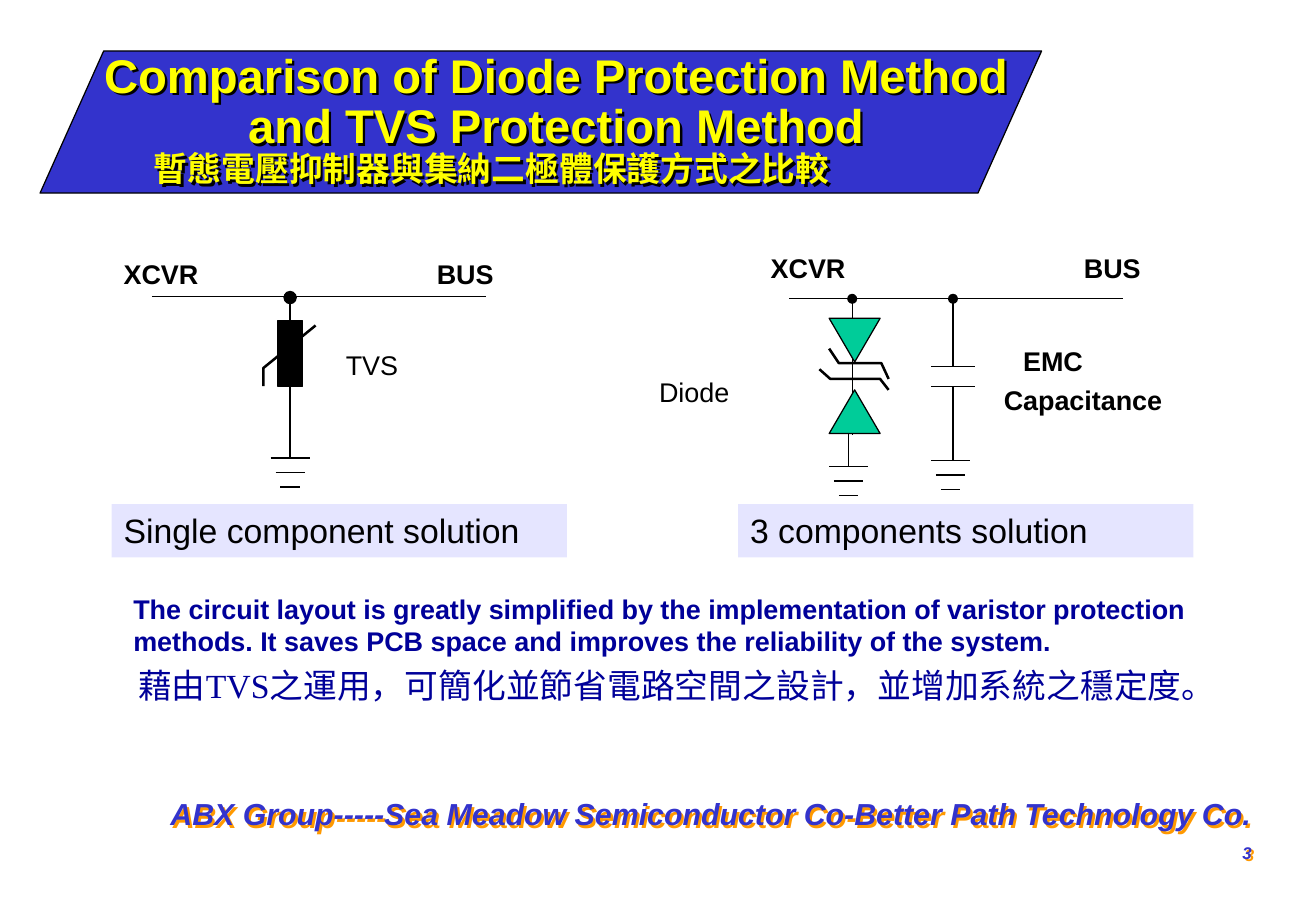
"""Build a slide comparing diode protection with TVS protection."""
from lxml.etree import SubElement
from pptx import Presentation
from pptx.dml.color import RGBColor as Rgb
from pptx.enum.shapes import MSO_CONNECTOR as Connector, MSO_SHAPE as Preset
from pptx.enum.text import MSO_ANCHOR as Anchor, MSO_AUTO_SIZE as AutoSize, PP_ALIGN as Align
from pptx.oxml.ns import qn
from pptx.util import Inches, Pt


class Theme:
    sans, serif = "Arial", "Times New Roman"
    black, blue, navy = Rgb(0, 0, 0), Rgb(0x33, 0x33, 0xCC), Rgb(0, 0, 0x99)
    yellow, green = Rgb(0xFF, 0xFF, 0), Rgb(0, 0xCC, 0x99)
    lilac, orange = Rgb(0xCC, 0xCC, 0xFF), Rgb(0xFF, 0x99, 0)
    heading, caption, footer, label, number = Pt(28), Pt(20), Pt(18), Pt(16), Pt(10)
    thin, thick = Pt(0.75), Pt(1.5)


deck = Presentation()
deck.slide_width, deck.slide_height = Inches(10.84), Inches(7.5)
page = deck.slides.add_slide(deck.slide_layouts[5])


def write(box, text, size=Theme.label, color=Theme.black, bold=False, font=Theme.sans):
    frame = box.text_frame
    frame.text = text
    frame.word_wrap = True
    frame.auto_size = AutoSize.NONE
    frame.vertical_anchor = Anchor.TOP
    for para in frame.paragraphs:
        para.alignment = Align.LEFT
        for span in para.runs:
            span.font.size, span.font.name, span.font.bold = size, font, bold
            span.font.color.rgb = color
    return box


def wire(x1, y1, x2, y2, dotted=False):
    line = page.shapes.add_connector(Connector.STRAIGHT, *map(Inches, (x1, y1, x2, y2)))
    line.line.color.rgb = Theme.black
    line.line.width = Theme.thin
    if dotted:
        SubElement(line.line._get_or_add_ln(), qn("a:headEnd"), type="oval")
    SubElement(line.element.spPr, qn("a:effectLst"))
    return line


wire(1.25, 2.44, 4, 2.44)
wire(6.5, 2.46, 9.25, 2.46)
tvs_top = wire(2.39, 2.44, 2.39, 2.64)
tvs_bottom = wire(2.39, 3.18, 2.39, 3.77)
wire(7.02, 2.46, 7.02, 3.58, dotted=True)
wire(6.99, 3.57, 6.99, 3.84)
wire(7.85, 2.46, 7.85, 3.02, dotted=True)
wire(7.85, 3.18, 7.85, 3.79)
for plate_y in (3.02, 3.18):
    wire(7.67, plate_y, 8.03, plate_y)
for center, top in ((2.39, 3.77), (6.99, 3.84), (7.83, 3.79)):
    for step, half in enumerate((0.16, 0.12, 0.08)):
        bar_y = top + 0.12 * step
        wire(center - half, bar_y, center + half, bar_y)

symbols = {}
for name, preset, place, fill in (
    ("banner", Preset.PARALLELOGRAM, (0.33, 0.42, 8.25, 1.17), Theme.blue),
    ("tvs", Preset.RECTANGLE, (2.29, 2.64, 0.2, 0.54), Theme.black),
    ("node", Preset.OVAL, (2.34, 2.4, 0.1, 0.1), Theme.black),
    ("upper diode", Preset.ISOSCELES_TRIANGLE, (6.83, 2.62, 0.42, 0.36), Theme.green),
    ("lower diode", Preset.ISOSCELES_TRIANGLE, (6.83, 3.21, 0.42, 0.36), Theme.green),
):
    symbol = page.shapes.add_shape(preset, *map(Inches, place))
    symbol.shadow.inherit = False
    symbol.fill.solid()
    symbol.fill.fore_color.rgb = fill
    symbol.line.color.rgb = Theme.black
    symbol.line.width = Theme.thin
    symbols[name] = symbol
symbols["banner"].adjustments[0] = 0.448
symbols["upper diode"].rotation = 180
tvs_top.end_connect(symbols["tvs"], 0)
tvs_bottom.begin_connect(symbols["tvs"], 2)

for points in (
    ((2.17, 3.18), (2.17, 3.03), (2.6, 2.68)),
    ((6.75, 3.04), (6.84, 3.12), (7.25, 3.12), (7.32, 3.21)),
    ((6.83, 2.87), (6.91, 2.99), (7.26, 2.99), (7.32, 3.12)),
):
    start, *rest = [(Inches(x), Inches(y)) for x, y in points]
    builder = page.shapes.build_freeform(*start)
    builder.add_line_segments(rest, close=False)
    bend = builder.convert_to_shape()
    bend.shadow.inherit = False
    bend.fill.background()
    bend.line.color.rgb = Theme.black
    bend.line.width = Theme.thick

title = page.shapes.title
title.left, title.top, title.width, title.height = map(Inches, (0.66, 0.38, 7.84, 0.95))
write(title, "Comparison of Diode Protection Method\vand TVS Protection Method",
      Theme.heading, Theme.yellow, True)
title.text_frame.paragraphs[0].alignment = Align.CENTER
title.text_frame.paragraphs[0].line_spacing = Pt(30)
title.element.addprevious(symbols["banner"].element)

for text, left, top, width, bold in (
    ("XCVR", 0.92, 2.07, 0.92, True),
    ("BUS", 3.5, 2.07, 0.92, True),
    ("TVS", 2.75, 2.82, 1, False),
    ("XCVR", 6.25, 2.02, 0.92, True),
    ("BUS", 8.83, 2.02, 0.92, True),
    ("Diode", 5.33, 3.04, 1.08, False),
    ("EMC", 8.33, 2.79, 0.83, True),
    ("Capacitance", 8.17, 3.11, 1.83, True),
):
    write(page.shapes.add_textbox(*map(Inches, (left, top, width, 0.37))), text, bold=bold)

for text, left in (("Single component solution", 0.92), ("3 components solution", 6.08)):
    caption = page.shapes.add_textbox(*map(Inches, (left, 4.15, 3.75, 0.44)))
    write(caption, text, Theme.caption)
    caption.fill.solid()
    caption.fill.fore_color.rgb = Theme.lilac
    tint = caption.element.spPr.find(qn("a:solidFill"))[0]
    SubElement(tint, qn("a:alpha"), val="50000")

subtitle, summary, translation, footer = [
    write(page.shapes.add_textbox(*map(Inches, place)), text, *style)
    for place, text, style in (
        ((1.17, 1.17, 7, 0.53), "暫態電壓抑制器與集納二極體保護方式之比較",
         (Theme.caption, Theme.yellow, True)),
        ((1, 4.83, 9.21, 0.63),
         "The circuit layout is greatly simplified by the implementation of varistor protection "
         "methods. It saves PCB space and improves the reliability of the system.",
         (Theme.label, Theme.navy, True)),
        ((1.04, 5.42, 9.25, 0.43),
         "藉由TVS之運用，可簡化並節省電路空間之設計，並增加系統之穩定度。",
         (Theme.caption, Theme.navy, False, Theme.serif)),
        ((0.33, 6.5, 10.08, 0.66),
         "ABX Group-----Sea Meadow Semiconductor Co-Better Path Technology Co.\n3",
         (Theme.footer, Theme.blue, True)),
    )
]
for para in footer.text_frame.paragraphs:
    para.alignment = Align.RIGHT
    para.runs[0].font.italic = True
number = footer.text_frame.paragraphs[1]
number.space_before = Pt(6.2)
number.runs[0].font.size = Theme.number

for box, color in ((title, Theme.black), (subtitle, Theme.black), (footer, Theme.orange)):
    effects = SubElement(box.element.spPr, qn("a:effectLst"))
    shadow = SubElement(effects, qn("a:outerShdw"), dist=str(Pt(2)), dir="2700000", algn="ctr")
    SubElement(shadow, qn("a:srgbClr"), val=str(color))

deck.save("out.pptx")
